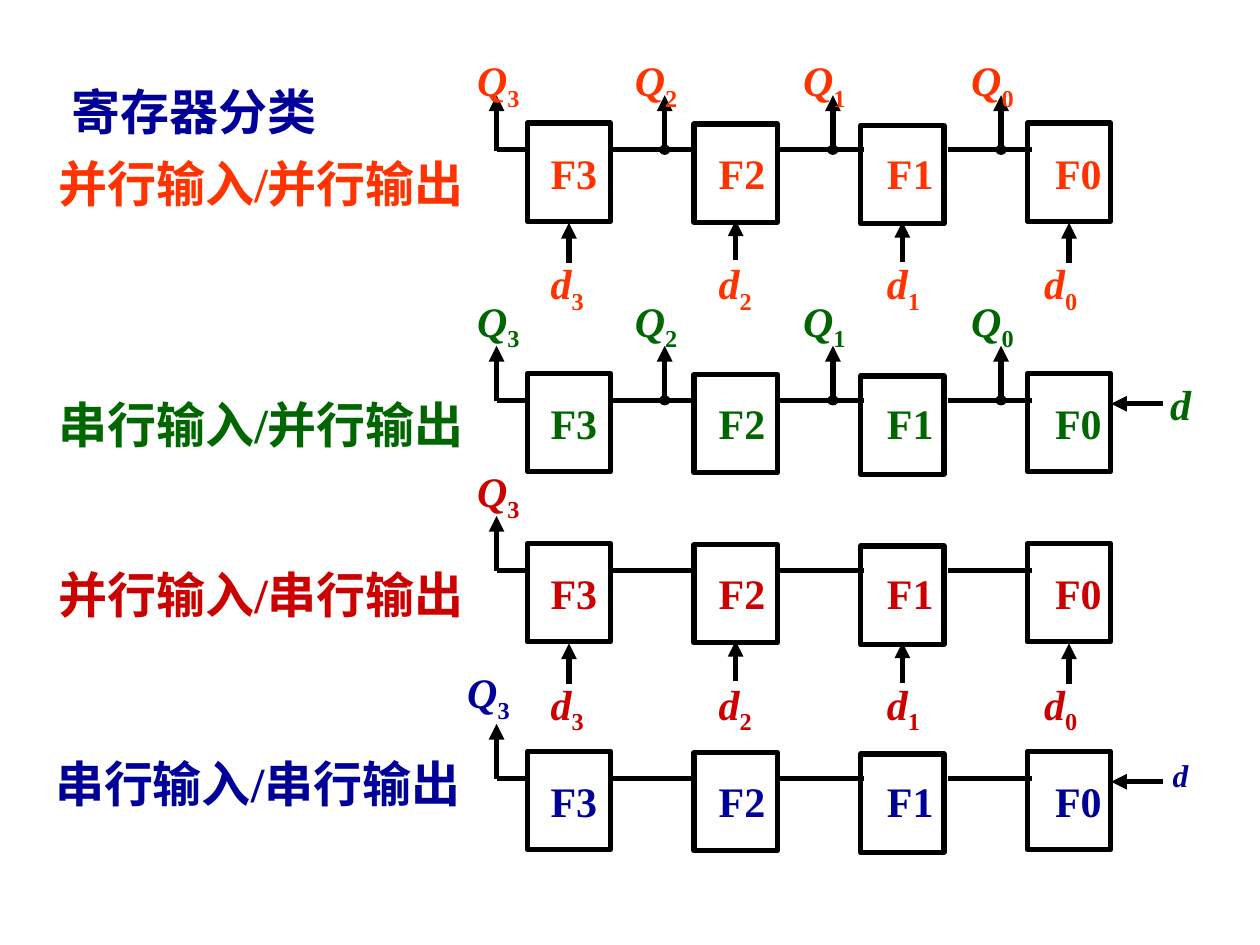
from lxml.etree import SubElement
from pptx import Presentation
from pptx.dml.color import RGBColor
from pptx.enum.shapes import MSO_CONNECTOR, MSO_SHAPE
from pptx.enum.text import MSO_ANCHOR, MSO_AUTO_SIZE, PP_ALIGN
from pptx.oxml.ns import qn
from pptx.util import Cm, Pt

BLACK = RGBColor(0, 0, 0)
NAVY = RGBColor(0x00, 0x00, 0x99)
ORANGE = RGBColor(0xFF, 0x33, 0x00)
GREEN = RGBColor(0x00, 0x66, 0x00)
RED = RGBColor(0xCC, 0x00, 0x00)
FONT = "Times New Roman"

TITLE = "寄存器分类"
# top: upper edge of the flip-flops; outputs: number of Q outputs from the left
REGISTERS = [
    dict(label="并行输入/并行输出", label_at=(0.91, 2.97), color=ORANGE, top=2.48,
         outputs=4, parallel_in=True, output_rise=1.5, first_output=9.37),
    dict(label="串行输入/并行输出", label_at=(0.91, 7.82), color=GREEN, top=7.53,
         outputs=4, parallel_in=False, output_rise=1.7, first_output=9.37,
         serial_left=23.34, serial_size=24),
    dict(label="并行输入/串行输出", label_at=(0.91, 11.25), color=RED, top=10.96,
         outputs=1, parallel_in=True, output_rise=1.7, first_output=9.37),
    dict(label="串行输入/串行输出", label_at=(0.84, 15.06), color=NAVY, top=15.15,
         outputs=1, parallel_in=False, output_rise=1.83, first_output=9.17,
         serial_left=23.39, serial_size=18),
]

# Horizontal grid in cm, one step per flip-flop
BOX_LEFT, BOX_STEP, BOX_WIDTH, BOX_HEIGHT = 10.63, 3.36, 1.68, 1.98
STEP = 3.39
NAME_LEFT, STEM_X, WIRE_LEFT, WIRE_LENGTH = 10.85, 10.01, 12.34, 1.69
INPUT_LEFTS = (10.85, 14.24, 17.63, 20.8)
BOX_DROPS = (0, 0.02, 0.05, 0)
ARROW_RISES = (0, 0.05, 0.02, 0)
TEXT_SIZE = (1.85, 1.27)
DOT_WIDTH, DOT_HEIGHT = 0.2, 0.18
WIRE_DROP = 0.54


def write(frame, spans, size, color, align=PP_ALIGN.LEFT):
    """Fill a text frame with (text, format) spans."""
    frame.word_wrap = True
    frame.auto_size = MSO_AUTO_SIZE.SHAPE_TO_FIT_TEXT
    frame.vertical_anchor = MSO_ANCHOR.TOP
    para = frame.paragraphs[0]
    para.alignment = align
    for text, extra in spans:
        span = para.add_run()
        span.text = text
        formats = dict(name=FONT, size=Pt(size), bold=True) | extra
        for key, value in formats.items():
            setattr(span.font, key, value)
        span.font.color.rgb = color


def add_text(shapes, left, top, spans, color, size=24, box_size=TEXT_SIZE, **options):
    box = shapes.add_textbox(*map(Cm, (left, top, *box_size)))
    write(box.text_frame, spans, size, color, **options)


def add_signal(shapes, left, top, letter, index, color):
    """Write an italic letter with a subscript index."""
    add_text(shapes, left, top, [(letter, dict(italic=True)), (str(index), {})], color)
    span = shapes[-1].text_frame.paragraphs[0].runs[1]
    span.font._element.set("baseline", "-25000")


def add_line(shapes, start, end, arrow=False):
    line = shapes.add_connector(MSO_CONNECTOR.STRAIGHT, *map(Cm, (*start, *end)))
    line.line.color.rgb = BLACK
    line.line.width = Pt(3)
    if arrow:
        SubElement(line.line._get_or_add_ln(), qn("a:tailEnd"), type="triangle")
    SubElement(line._element.spPr, qn("a:effectLst"))


def add_outline(shapes, kind, area, width, filled=False):
    shape = shapes.add_shape(kind, *map(Cm, area))
    shape.shadow.inherit = False
    if filled:
        shape.fill.solid()
        shape.fill.fore_color.rgb = BLACK
    else:
        shape.fill.background()
    shape.line.color.rgb = BLACK
    shape.line.width = Pt(width)


def add_register(shapes, row):
    top, color = row["top"], row["color"]
    wire_y = top + WIRE_DROP
    for column in range(4):
        index = 3 - column
        box_left = BOX_LEFT + column * BOX_STEP
        stem_x = STEM_X + column * STEP
        add_outline(shapes, MSO_SHAPE.RECTANGLE,
                    (box_left, top + BOX_DROPS[column], BOX_WIDTH, BOX_HEIGHT), 3)
        add_text(shapes, NAME_LEFT + column * STEP, top + 0.36, [(f"F{index}", {})], color)

        if column == 0:
            wire_left, wire_right = STEM_X, 10.59
        else:
            wire_left = WIRE_LEFT + (column - 1) * STEP
            wire_right = wire_left + WIRE_LENGTH
        add_line(shapes, (wire_left, wire_y), (wire_right, wire_y))

        if column < row["outputs"]:
            add_line(shapes, (stem_x, wire_y + 0.02), (stem_x, top - 0.56), arrow=True)
            if column:
                add_outline(shapes, MSO_SHAPE.OVAL,
                            (stem_x - DOT_WIDTH / 2, wire_y - DOT_HEIGHT / 2,
                             DOT_WIDTH, DOT_HEIGHT), 0.75, filled=True)
            output_left = 9.16 + column * STEP if column else row["first_output"]
            add_signal(shapes, output_left, top - row["output_rise"], "Q", index, color)

        if row["parallel_in"]:
            x = box_left + BOX_WIDTH / 2
            rise = ARROW_RISES[column]
            add_line(shapes, (x, top + 2.82 - rise), (x, top + 2.01 - rise), arrow=True)
            add_signal(shapes, INPUT_LEFTS[column], top + 2.59, "d", index, color)

    if not row["parallel_in"]:
        add_line(shapes, (23.44, top + 0.61), (22.4, top + 0.61), arrow=True)
        add_text(shapes, row["serial_left"], top - 0.03, [("d", dict(italic=True))],
                 color, size=row["serial_size"])


def main():
    deck = Presentation()
    deck.slide_width, deck.slide_height = Cm(25.4), Cm(19.05)
    page = deck.slides.add_slide(deck.slide_layouts[5])

    title = page.shapes.title
    title.left, title.top, title.width, title.height = map(Cm, (0.64, 1.52, 6.55, 1.45))
    write(title.text_frame, [(TITLE, {})], 28, NAVY, align=PP_ALIGN.CENTER)

    for row in REGISTERS:
        add_text(page.shapes, *row["label_at"], [(row["label"], {})], row["color"],
                 size=28, box_size=(8.71, 1.45), align=PP_ALIGN.CENTER)
        add_register(page.shapes.add_group_shape().shapes, row)

    deck.save("out.pptx")


if __name__ == "__main__":
    main()
